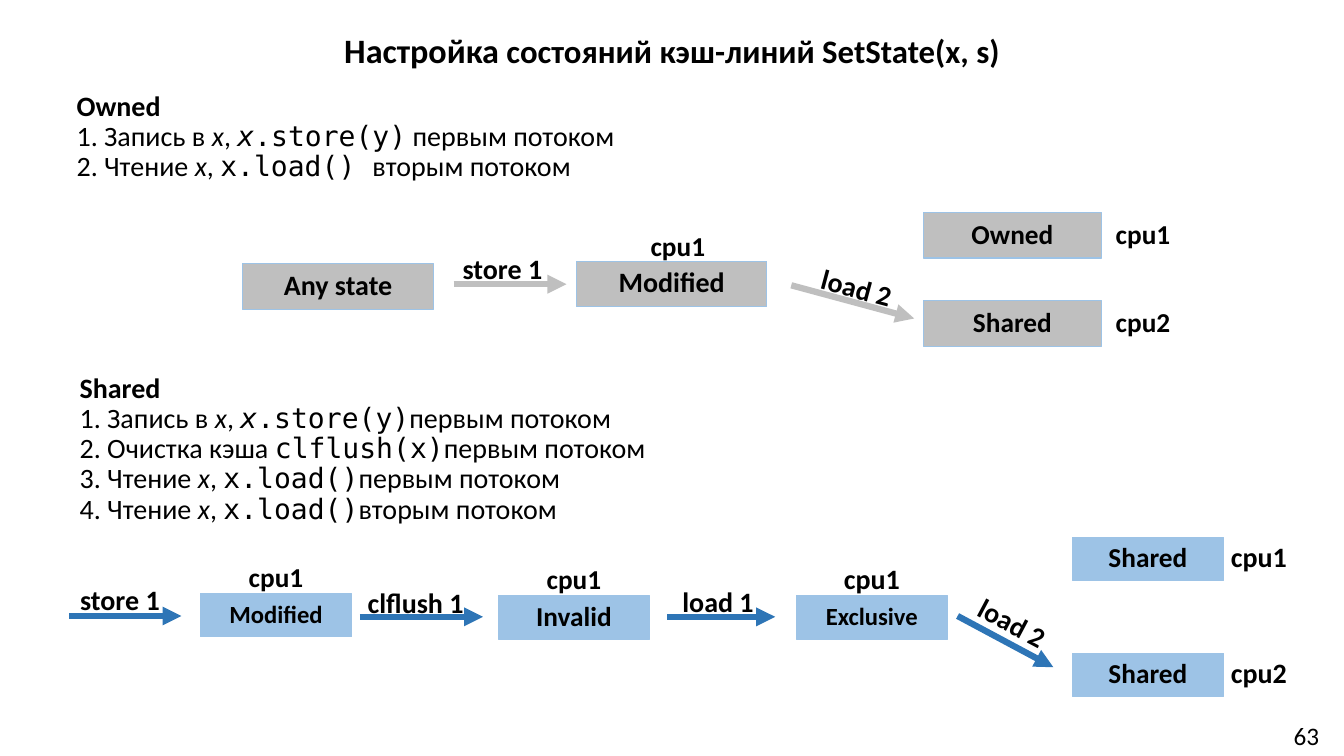
from dataclasses import dataclass

import pptx
import pptx.dml.color
import pptx.enum.shapes
import pptx.enum.text
import pptx.oxml
import pptx.oxml.ns
import pptx.util

Pt = pptx.util.Pt
Align = pptx.enum.text.PP_ALIGN
Anchor = pptx.enum.text.MSO_ANCHOR


@dataclass(frozen=True)
class Theme:
    font: str = "Calibri"
    mono: str = "DejaVu Sans Mono"
    text: str = "000000"
    gray: str = "BFBFBF"
    light_blue: str = "9DC3E6"
    blue: str = "2E75B6"
    title: float = 24.4
    title_rest: float = 23.4
    body: float = 20
    state: float = 19.5
    small_state: float = 17.6
    number: float = 18
    box_line: float = 0.75
    arrow_line: float = 4.5


THEME = Theme()
VARIABLE = {"italic": True}
CODE = {"font": THEME.mono}
CODE_VARIABLE = {"font": THEME.mono, "italic": True}

# Each list line is a sequence of (text, format) runs
OWNED_STEPS = [
    [("Owned", {"bold": True})],
    [("1. Запись в ", {}), ("x", VARIABLE), (", ", {}), ("x", CODE_VARIABLE),
     (".store(y)", CODE), (" первым потоком", {})],
    [("2. Чтение ", {}), ("x", VARIABLE), (", ", {}), ("x.load() ", CODE),
     ("вторым потоком", {})],
]
SHARED_STEPS = [
    [("Shared", {"bold": True})],
    [("1. Запись в ", {}), ("x", VARIABLE), (", ", {}), ("x", CODE_VARIABLE),
     (".store(y)", CODE), ("первым потоком", {})],
    [("2. Очистка кэша ", {}), ("clflush(x)", CODE), ("первым потоком", {})],
    *[[(f"{number}. Чтение ", {}), ("x", VARIABLE), (", ", {}), ("x.load()", CODE),
       (f"{thread} потоком", {})] for number, thread in ((3, "первым"), (4, "вторым"))],
]


def color(value):
    return pptx.dml.color.RGBColor.from_string(value)


def add_run(paragraph, text, size=THEME.body, bold=False, italic=False, font=THEME.font):
    run = paragraph.add_run()
    run.text = text
    run.font.name = font
    run.font.size = Pt(size)
    run.font.bold = bold
    run.font.italic = italic
    run.font.color.rgb = color(THEME.text)


def write(shape, lines, align=Align.CENTER, anchor=Anchor.MIDDLE, spacing=0.9, **run_format):
    """Fill a shape with a string or with lines of formatted runs."""
    if isinstance(lines, str):
        lines = [[(lines, {})]]
    frame = shape.text_frame
    frame.word_wrap = True
    frame.auto_size = pptx.enum.text.MSO_AUTO_SIZE.NONE
    frame.vertical_anchor = anchor
    for index, runs in enumerate(lines):
        paragraph = frame.add_paragraph() if index else frame.paragraphs[0]
        paragraph.alignment = align
        paragraph.line_spacing = spacing
        paragraph.space_before = paragraph.space_after = Pt(0)
        for text, own_format in runs:
            add_run(paragraph, text, **{**run_format, **own_format})


def place(shape, left, top, width, height):
    shape.left, shape.top, shape.width, shape.height = map(Pt, (left, top, width, height))


def fill_list(placeholder, lines, bounds):
    place(placeholder, *bounds)
    write(placeholder, lines, align=Align.LEFT, anchor=Anchor.TOP)
    for paragraph in placeholder.text_frame.paragraphs:
        properties = paragraph._p.get_or_add_pPr()
        properties.set("marL", "0")
        properties.set("indent", "0")
        properties.append(pptx.oxml.parse_xml(f"<a:buNone {pptx.oxml.ns.nsdecls('a')}/>"))


def add_label(slide, text, bounds, size=THEME.body, rotation=0, bold=True, spacing=0.9):
    label = slide.shapes.add_textbox(*map(Pt, bounds))
    label.rotation = rotation
    write(label, text, size=size, bold=bold, spacing=spacing)


def add_state(slide, text, bounds, fill, size=THEME.state):
    state = slide.shapes.add_shape(pptx.enum.shapes.MSO_SHAPE.RECTANGLE, *map(Pt, bounds))
    state.shadow.inherit = False
    state.fill.solid()
    state.fill.fore_color.rgb = color(fill)
    state.line.color.rgb = color(THEME.light_blue)
    state.line.width = Pt(THEME.box_line)
    write(state, text, size=size, bold=True)


def add_arrow(slide, start, end, line_color):
    arrow = slide.shapes.add_connector(
        pptx.enum.shapes.MSO_CONNECTOR.STRAIGHT, *map(Pt, (*start, *end)))
    arrow.line.color.rgb = color(line_color)
    arrow.line.width = Pt(THEME.arrow_line)
    namespace = pptx.oxml.ns.nsdecls("a")
    arrow.line._get_or_add_ln().append(
        pptx.oxml.parse_xml(f'<a:tailEnd {namespace} type="triangle"/>'))
    arrow._element.spPr.append(pptx.oxml.parse_xml(f"<a:effectLst {namespace}/>"))


def draw_owned_diagram(slide):
    for start, end in (((324, 203), (404.6, 203)), ((565.2, 203.8), (653, 227.5))):
        add_arrow(slide, start, end, THEME.gray)
    add_label(slide, "store 1", (314.6, 177.8, 88.6, 31))
    add_label(slide, "load 2", (560.2, 193, 103, 27.4), rotation=15)
    add_state(slide, "Any state", (173.5, 188, 136, 33), THEME.gray, THEME.body)
    add_state(slide, "Modified", (411.8, 186.5, 136, 32.5), THEME.gray, THEME.body)
    add_label(slide, "cpu1", (420.5, 160.5, 127.5, 32.5), THEME.state)
    for text, cpu, top in (("Owned", "cpu1", 151.8), ("Shared", "cpu2", 214.8)):
        add_state(slide, text, (659.5, top, 127.5, 32.5), THEME.gray)
        add_label(slide, cpu, (775.5, top, 82, 32.5), THEME.state)


def draw_shared_diagram(slide):
    width, height = 108, 31
    first_left, step = 143.2, 212.8

    # Transitions
    for start, end in (((49.5, 440), (129.6, 440)), ((257, 440.6), (345, 440.6)),
                       ((476.6, 440.6), (553.7, 440.6)), ((684, 440), (752.4, 476.6))):
        add_arrow(slide, start, end, THEME.blue)
    add_label(slide, "store 1", (48.2, 414.7, 75, 30.2))
    add_label(slide, "clflush 1", (253.4, 418.3, 87, 26.6))
    add_label(slide, "load 1", (469.4, 417.6, 87, 26.6))
    add_label(slide, "load 2", (679, 432.7, 87, 26.6), rotation=28)

    # States of the first processor
    states = (("Modified", 424, THEME.small_state, THEME.state),
              ("Invalid", 425.5, THEME.state, THEME.state),
              ("Exclusive", 425.5, THEME.small_state, THEME.body))
    for index, (text, top, size, cpu_size) in enumerate(states):
        left = first_left + index * step
        add_state(slide, text, (left, top, width, height), THEME.light_blue, size)
        add_label(slide, "cpu1", (left, top - 26.5, width, height), cpu_size)

    # Final states of both processors
    for cpu, top in (("cpu1", 383.8), ("cpu2", 466.6)):
        add_state(slide, "Shared", (766, top, width, height), THEME.light_blue)
        add_label(slide, cpu, (845.3, top - 0.7, width, height))


def main():
    presentation = pptx.Presentation()
    presentation.slide_width, presentation.slide_height = Pt(960), Pt(540)
    slide = presentation.slides.add_slide(presentation.slide_layouts[3])
    title, owned_list, shared_list = slide.placeholders

    # Title and lists
    place(title, 0, 21, 960, 36)
    write(title, [[("Настройка", {"size": THEME.title}),
                   (" состояний кэш-линий SetState(x, s)", {})]],
          anchor=Anchor.TOP, size=THEME.title_rest, bold=True)
    fill_list(owned_list, OWNED_STEPS, (47.5, 62, 517, 84))
    fill_list(shared_list, SHARED_STEPS, (49.7, 263.5, 544, 134.6))

    # Diagrams and page number
    draw_owned_diagram(slide)
    draw_shared_diagram(slide)
    add_label(slide, "63", (905.8, 509, 54.5, 32.4), THEME.number, bold=False, spacing=1)
    presentation.save("out.pptx")


if __name__ == "__main__":
    main()
